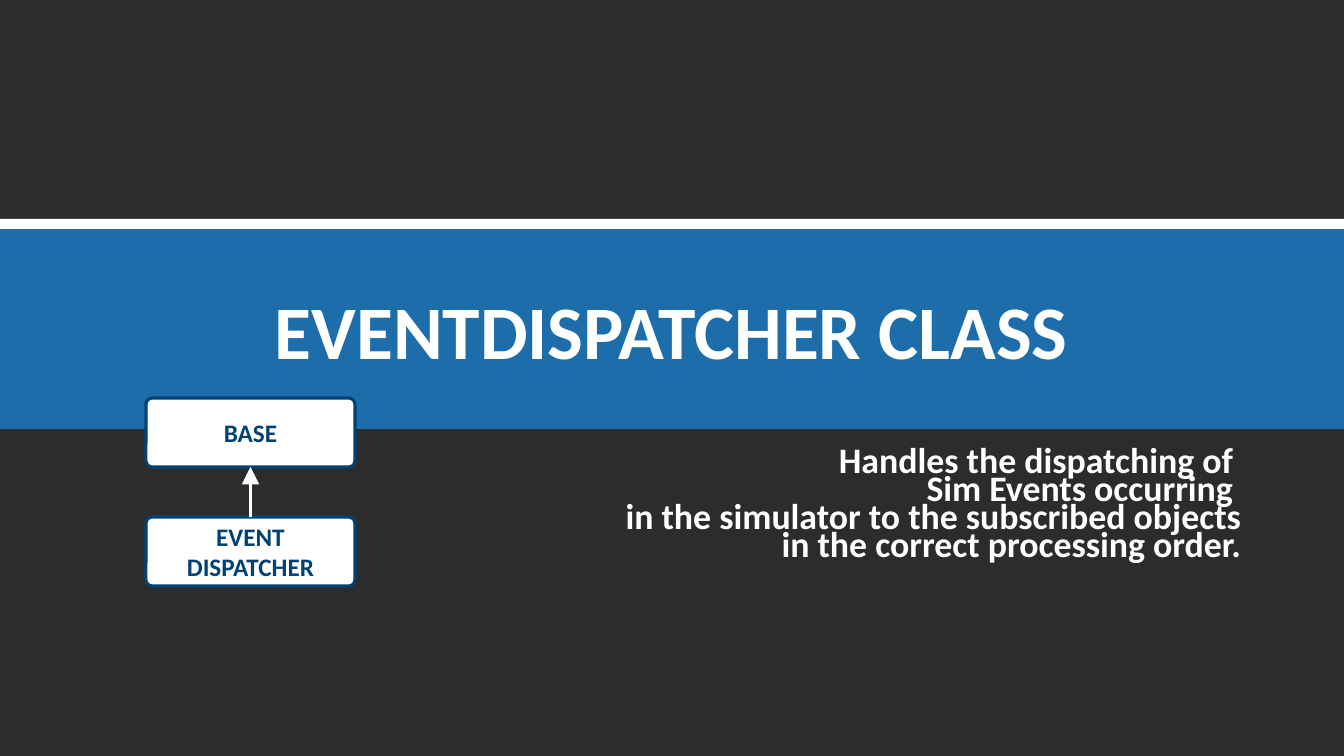
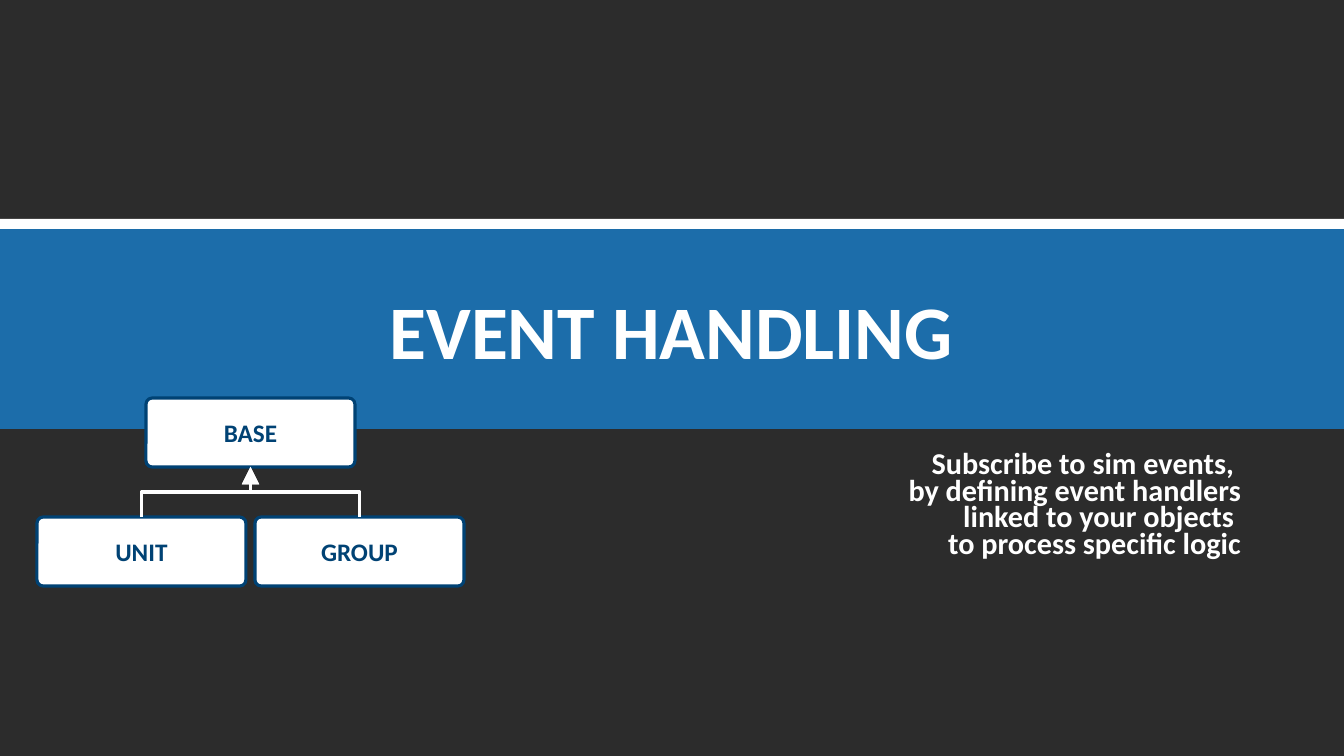
from lxml import etree
from pptx import Presentation
from pptx import util as u
from pptx.dml.color import RGBColor
from pptx.enum import shapes, text
from pptx.oxml import ns

SCALE = 12192000 / 1344
FONT = "Calibri"
WHITE, NAVY, BLUE, DARK = "FFFFFF", "004274", "1299FF", "2C2C2C"
BOX_WIDTH, BOX_HEIGHT = 209, 69
BASE_LEFT, BASE_TOP, CHILD_TOP = 146, 398, 517
SIBLING_STEP = 218
TOP_SITE, BOTTOM_SITE = 0, 2


def px(length):
    return u.Emu(round(length * SCALE))


def color(value):
    return RGBColor.from_string(value)


def add_xml(parent, tag, **attributes):
    return etree.SubElement(parent, ns.qn(tag), attributes)


class ClassDeck:
    def __init__(self):
        self.deck = Presentation()
        self.deck.slide_width, self.deck.slide_height = px(1344), px(756)
        fill = self.deck.slide_master.background.fill
        fill.solid()
        fill.fore_color.rgb = color(DARK)
        self.slide = None

    def new_slide(self, title, lines, size):
        self.slide = self.deck.slides.add_slide(self.deck.slide_layouts[5])
        band = self.shape(shapes.MSO_SHAPE.RECTANGLE, (-1, 227, 1345, 202), BLUE)
        add_xml(band.fill._xPr.find(".//" + ns.qn("a:srgbClr")), "a:alpha", val="60000")
        self.shape(shapes.MSO_SHAPE.RECTANGLE, (0, 219, 1344, 10), WHITE)
        self.title(title)
        self.summary(lines, size)

    def place(self, box, area):
        box.left, box.top, box.width, box.height = map(px, area)

    def format_text(self, box, size, ink, align, spacing=1.0, after=0):
        frame = box.text_frame
        frame.word_wrap = True
        frame.auto_size = text.MSO_AUTO_SIZE.NONE
        frame.vertical_anchor = text.MSO_ANCHOR.MIDDLE
        for para in frame.paragraphs:
            para.alignment = align
            para.line_spacing = spacing
            para.space_before = u.Pt(0)
            para.space_after = u.Pt(after)
            for span in para.runs:
                span.font.name = FONT
                span.font.size = u.Pt(size)
                span.font.bold = True
                span.font.color.rgb = color(ink)

    def shape(self, kind, area, fill):
        box = self.slide.shapes.add_shape(kind, *map(px, area))
        box.shadow.inherit = False
        box.fill.solid()
        box.fill.fore_color.rgb = color(fill)
        box.line.fill.background()
        return box

    def title(self, words):
        box = self.slide.shapes.title
        self.slide.shapes._spTree.append(box._element)
        self.place(box, (92, 244, 1159, 184))
        box.text_frame.text = words
        self.format_text(box, 54, WHITE, text.PP_ALIGN.CENTER, 0.85)

    def summary(self, words, size):
        box = self.slide.shapes.add_textbox(*map(px, (92, 443, 1159, 129)))
        box.text_frame.text = words
        self.format_text(box, size, WHITE, text.PP_ALIGN.RIGHT, 0.65, 2)

    def class_box(self, name, left, top):
        area = (left, top, BOX_WIDTH, BOX_HEIGHT)
        box = self.shape(shapes.MSO_SHAPE.ROUNDED_RECTANGLE, area, WHITE)
        box.adjustments[0] = 0.09
        box.line.color.rgb = color(NAVY)
        box.line.width = u.Pt(2.25)
        box.text_frame.text = name
        self.format_text(box, 18, NAVY, text.PP_ALIGN.CENTER)
        return box

    def inherit_arrow(self, child, parent, offset):
        kind = shapes.MSO_CONNECTOR.ELBOW if offset else shapes.MSO_CONNECTOR.STRAIGHT
        arrow = self.slide.shapes.add_connector(kind, 0, 0, 0, 0)
        arrow.begin_connect(child, TOP_SITE)
        arrow.end_connect(parent, BOTTOM_SITE)
        if offset:
            self.turn_upright(arrow, offset)
        arrow.line.color.rgb = color(WHITE)
        arrow.line.width = u.Pt(2.5)
        line = arrow.line._get_or_add_ln()
        add_xml(line, "a:tailEnd", type="triangle", w="lg", len="lg")
        add_xml(arrow._element.spPr, "a:effectLst")

    def turn_upright(self, arrow, offset):
        rise = CHILD_TOP - BASE_TOP - BOX_HEIGHT
        run = abs(offset)
        middle_x = BASE_LEFT + (BOX_WIDTH + offset) / 2
        middle_y = CHILD_TOP - rise / 2
        self.place(arrow, (middle_x - rise / 2, middle_y - run / 2, rise, run))
        frame = arrow._element.spPr.find(ns.qn("a:xfrm"))
        for flip in ("flipH", "flipV"):
            frame.attrib.pop(flip, None)
        frame.set("flipV", "1")
        if offset > 0:
            frame.set("rot", "16200000")
        else:
            frame.set("rot", "5400000")
            frame.set("flipH", "1")

    def hierarchy(self, base_name, child_names):
        base = self.class_box(base_name, BASE_LEFT, BASE_TOP)
        for index, name in enumerate(child_names):
            offset = (index - (len(child_names) - 1) / 2) * SIBLING_STEP
            child = self.class_box(name, BASE_LEFT + offset, CHILD_TOP)
            self.inherit_arrow(child, base, offset)


def main():
    show = ClassDeck()
    show.new_slide(
        "EVENTDISPATCHER CLASS",
        "Handles the dispatching of \vSim Events occurring \v"
        "in the simulator to the subscribed objects\vin the correct processing order.",
        25.6,
    )
    show.hierarchy("BASE", ["EVENT\vDISPATCHER"])
    show.new_slide(
        "EVENT HANDLING",
        "Subscribe to sim events, \nby defining event handlers\n"
        "linked to your objects \nto process specific logic",
        21.6,
    )
    show.hierarchy("BASE", ["UNIT", "GROUP"])
    show.deck.save("out.pptx")


if __name__ == "__main__":
    main()
